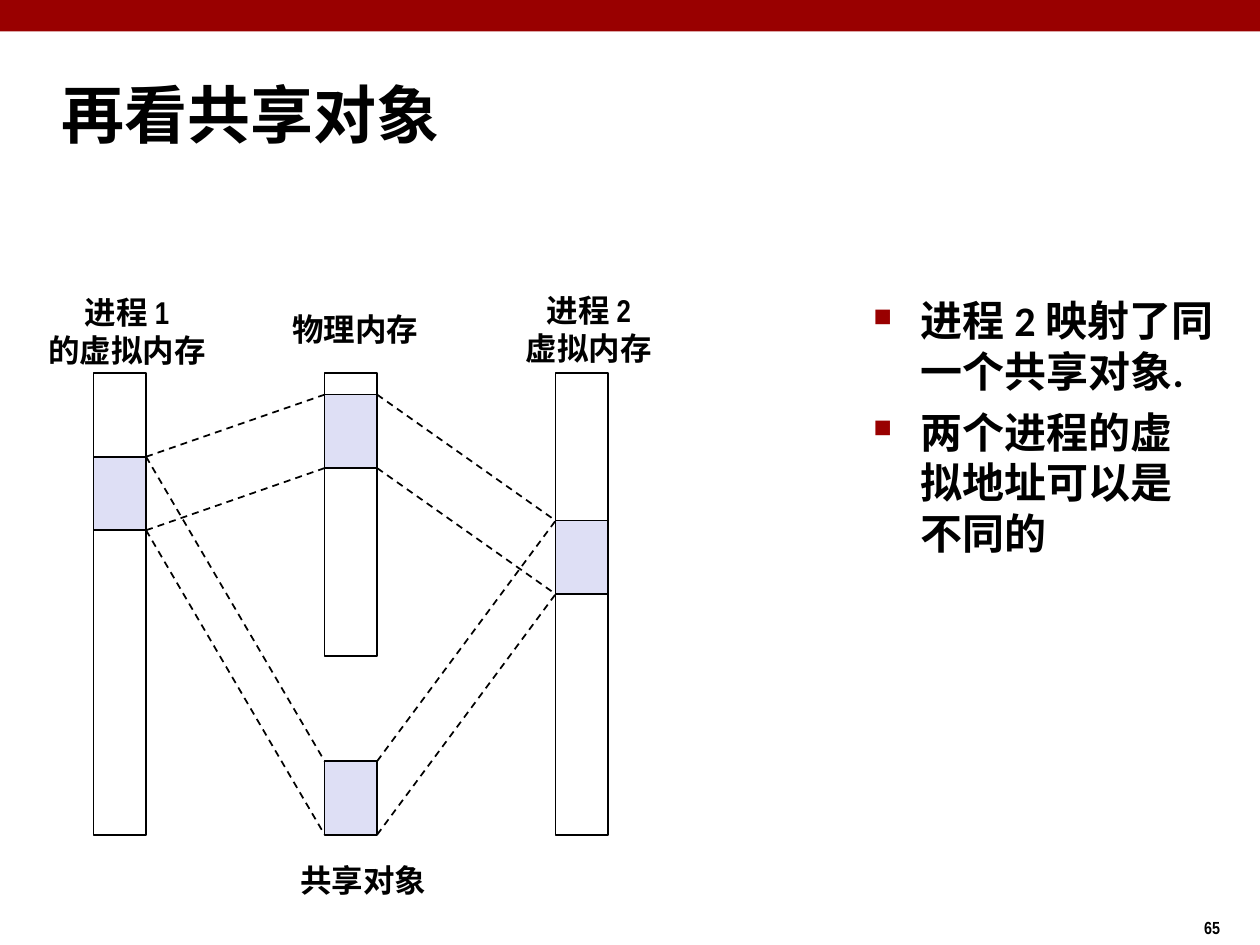
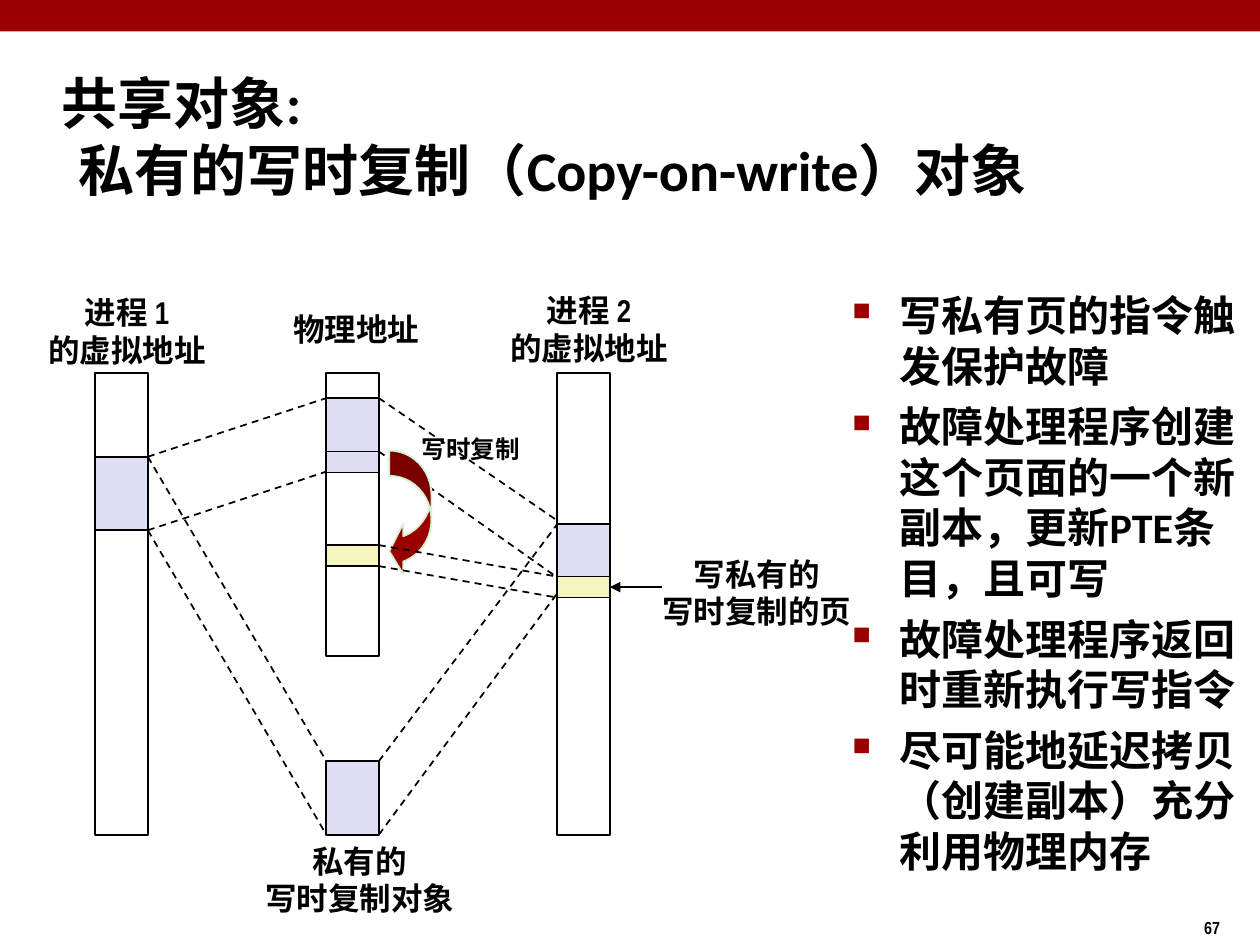
from dataclasses import dataclass
from lxml.etree import SubElement
from pptx import Presentation
from pptx.dml.color import RGBColor
from pptx.enum.dml import MSO_LINE
from pptx.enum.shapes import MSO_CONNECTOR, MSO_SHAPE
from pptx.enum.text import MSO_ANCHOR, MSO_AUTO_SIZE, PP_ALIGN
from pptx.oxml.ns import qn
from pptx.util import Pt


@dataclass(frozen=True)
class Theme:
    red: str = "990000"
    black: str = "000000"
    lilac: str = "DEDFF5"
    cream: str = "F6F5BD"
    mint: str = "D5F1CF"
    main: str = "Calibri"
    narrow: str = "Arial Narrow"
    body: int = 24
    label: int = 18
    small: int = 14
    page: int = 10


THEME = Theme()

# Memory columns: 0 process 1, 1 physical memory, 2 process 2
STEP, WIDE, TOP = 132, 30, 213
BARS = [264, 162, 264]
OBJECT = (1, 435, 477)
FIRST = (0, 261, 303)

# Spans are (column, top, bottom); labels are (lines, centre x, centre y, size)
SHARED = {
    "title": "再看共享对象", "size": 36, "frame": (28, 34.5, 598, 60), "page": "65",
    "left": 53.5,
    "blocks": [OBJECT, FIRST, (1, 225.5, 267.5), (2, 297.5, 339.5)],
    "links": [
        (OBJECT, FIRST),
        (OBJECT, (2, 297.5, 339.5)),
        (FIRST, (1, 225.5, 267.5)),
        ((1, 225.5, 267.5), (2, 297.5, 339.5)),
    ],
    "labels": [
        ("进程 1\n的虚拟内存", 72.5, 189, THEME.label),
        ("物理内存", 203, 188, THEME.label),
        ("进程 2\n虚拟内存", 336.5, 188, THEME.label),
        ("共享对象", 207.5, 502.5, THEME.label),
    ],
    "list": (492, 165, 209, 363),
    "points": ["进程 2 映射了同一个共享对象.", "两个进程的虚拟地址可以是不同的"],
}
PRIVATE = {
    "title": "共享对象:\v私有的写时复制（Copy-on-write）对象",
    "size": 32, "frame": (28, 34.5, 656, 86), "page": "67",
    "left": 54.5,
    "blocks": [OBJECT, FIRST, (1, 227.5, 269.5), (2, 299.5, 341.5), (1, 258, 270)],
    "links": [
        (OBJECT, FIRST),
        (OBJECT, (2, 299.5, 339)),
        (FIRST, (1, 227.5, 269.5)),
        ((1, 227.5, 258), (2, 297.5, 330)),
    ],
    "labels": [
        ("进程 1\n的虚拟地址", 72.5, 189, THEME.label),
        ("物理地址", 203.5, 188, THEME.label),
        ("进程 2\n的虚拟地址", 336.5, 188, THEME.label),
        ("私有的\n写时复制对象", 205.5, 502.5, THEME.label),
        ("写时复制", 269, 256.5, THEME.small),
        ("写私有的\n写时复制的页", 432.5, 338.5, THEME.label),
    ],
    "list": (480, 162, 240, 355),
    "points": [
        "写私有页的指令触发保护故障",
        "故障处理程序创建这个页面的一个新副本，更新PTE条目，且可写",
        "故障处理程序返回时重新执行写指令",
        "尽可能地延迟拷贝（创建副本）充分利用物理内存",
    ],
}
PAGES = [(1, 311.5, 323.5), (2, 329.5, 341.5)]
CURVE = (222.5, 257.5, 24, 72)
CURVE_FORM = [0.6, 1.2, 0.33]
NOTE_X = 378.5


def color(code):
    return RGBColor.from_string(code)


def place(shape, frame):
    shape.left, shape.top, shape.width, shape.height = map(Pt, frame)


def style(par, face, size):
    par.font.name, par.font.size, par.font.bold = face, Pt(size), True
    par.font.color.rgb = color(THEME.black)


def indent(par, size):
    """Hang the first line of a paragraph by size points."""
    props = par._p.get_or_add_pPr()
    props.set("marL", str(Pt(size)))
    props.set("indent", str(-Pt(size)))
    return props


def add_box(slide, frame, fill=None, line=THEME.black, kind=MSO_SHAPE.RECTANGLE):
    box = slide.shapes.add_shape(kind, *map(Pt, frame))
    box.shadow.inherit = False
    if fill:
        box.fill.solid()
        box.fill.fore_color.rgb = color(fill)
    else:
        box.fill.background()
    if line:
        box.line.color.rgb, box.line.width = color(line), Pt(1)
    else:
        box.line.fill.background()
    return box


def add_span(slide, left, span, fill):
    col, top, end = span
    return add_box(slide, (left + col * STEP, top, WIDE, end - top), fill)


def add_line(slide, start, end):
    line = slide.shapes.add_connector(MSO_CONNECTOR.STRAIGHT, *map(Pt, start + end))
    line.line.color.rgb, line.line.width = color(THEME.black), Pt(1)
    SubElement(line._element.spPr, qn("a:effectLst"))
    return line


def add_link(slide, left, one, two):
    """Join the facing corners of two spans with dashed lines."""
    one, two = sorted((one, two))
    start, end = left + one[0] * STEP + WIDE, left + two[0] * STEP
    for a, b in zip(one[1:], two[1:]):
        add_line(slide, (start, a), (end, b)).line.dash_style = MSO_LINE.DASH


def add_text(slide, frame, text, face, size, wrap=True):
    box = slide.shapes.add_textbox(*map(Pt, frame)).text_frame
    box.word_wrap = wrap
    box.text = text
    for par in box.paragraphs:
        style(par, face, size)
    return box


def add_label(slide, text, x, y, size):
    lines = text.split("\n")
    wide, high = size * max(map(len, lines)) + 20, size * 1.2 * len(lines) + 7
    box = add_text(slide, (x - wide / 2, y - high / 2, wide, high), text,
                   THEME.narrow, size, wrap=False)
    box.vertical_anchor = MSO_ANCHOR.MIDDLE
    for par in box.paragraphs:
        par.alignment = PP_ALIGN.CENTER


def add_list(slide, frame, points):
    box = slide.shapes.add_textbox(*map(Pt, frame)).text_frame
    box.word_wrap = True
    box.text = "\n".join(points)
    for num, par in enumerate(box.paragraphs):
        par.space_before = Pt(6 if num else 0)
        props = indent(par, 27)
        tint = SubElement(props, qn("a:buClr"))
        SubElement(tint, qn("a:srgbClr"), val=THEME.red)
        SubElement(props, qn("a:buSzPct"), val="60000")
        SubElement(props, qn("a:buChar"), char="■")
        style(par, THEME.main, THEME.body)


def add_title(slide, text, size, frame):
    title = slide.shapes.title
    place(title, frame)
    box = title.text_frame
    box.text = text
    box.auto_size, box.vertical_anchor = MSO_AUTO_SIZE.NONE, MSO_ANCHOR.MIDDLE
    par = box.paragraphs[0]
    par.alignment = PP_ALIGN.LEFT
    indent(par, 9.5)
    style(par, THEME.main, size)


def add_slide(deck, data):
    slide = deck.slides.add_slide(deck.slide_layouts[5])
    add_box(slide, (0, 0, 720, 18), THEME.red, None)
    add_text(slide, (681, 520.5, 38, 19), data["page"], THEME.narrow, THEME.page)
    add_title(slide, data["title"], data["size"], data["frame"])
    left = data["left"]
    for col, high in enumerate(BARS):
        add_span(slide, left, (col, TOP, TOP + high), None)
    for span in data["blocks"]:
        add_span(slide, left, span, THEME.lilac)
    for pair in data["links"]:
        add_link(slide, left, *pair)
    for label in data["labels"]:
        add_label(slide, *label)
    add_list(slide, data["list"], data["points"])
    return slide


def add_copy(slide, left):
    """Show the copied page, the curved arrow to it and the pointer to the write."""
    curve = add_box(slide, CURVE, THEME.red, THEME.mint, MSO_SHAPE.CURVED_LEFT_ARROW)
    for num, value in enumerate(CURVE_FORM):
        curve.adjustments[num] = value
    page = [add_span(slide, left, span, THEME.cream) for span in PAGES][-1]
    add_link(slide, left, *PAGES)
    col, top, end = PAGES[-1]
    mid = (top + end) / 2
    arrow = add_line(slide, (NOTE_X, mid), (left + col * STEP + WIDE, mid))
    arrow.end_connect(page, 3)
    SubElement(arrow.line._get_or_add_ln(), qn("a:tailEnd"), type="triangle")


def main():
    deck = Presentation()
    deck.slide_width, deck.slide_height = Pt(720), Pt(540)
    add_slide(deck, SHARED)
    add_copy(add_slide(deck, PRIVATE), PRIVATE["left"])
    deck.save("out.pptx")


if __name__ == "__main__":
    main()
